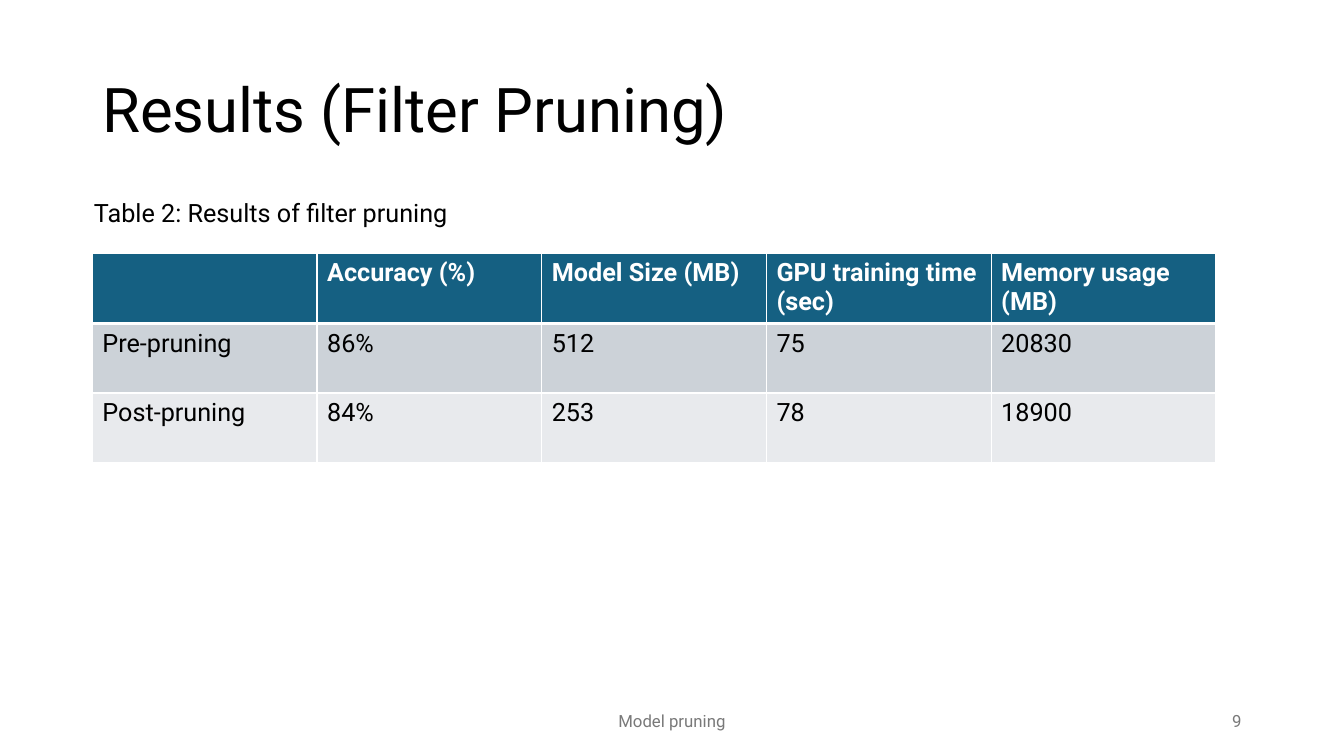
from lxml.etree import SubElement
from pptx import Presentation
from pptx.dml.color import RGBColor
from pptx.enum.text import MSO_ANCHOR as Anchor, PP_ALIGN as Align
from pptx.oxml.ns import qn
from pptx.util import Pt

BLACK = RGBColor(0x00, 0x00, 0x00)
WHITE = RGBColor(0xFF, 0xFF, 0xFF)
GREY = RGBColor(0x79, 0x79, 0x79)
TEAL = RGBColor(0x15, 0x60, 0x82)
BAND_DARK = RGBColor(0xCC, 0xD2, 0xD8)
BAND_LIGHT = RGBColor(0xE8, 0xEA, 0xED)

FONT = "Roboto"
PX = 9525
SLIDE_SIZE = (1280, 720)

LABELS = [
    ("Results (Filter Pruning)", (88, 38, 1104, 139), 44, BLACK, Align.LEFT, Anchor.MIDDLE, 0.9),
    ("Table 2: Results of filter pruning", (80, 183, 373, 38), 18, BLACK, Align.LEFT, Anchor.TOP, 1.0),
    ("Model pruning", (424, 667, 432, 38), 12, GREY, Align.CENTER, Anchor.MIDDLE, 1.0),
    ("9", (904, 667, 288, 38), 12, GREY, Align.RIGHT, Anchor.MIDDLE, 1.0),
]

RESULTS = [
    ("", "Accuracy (%)", "Model Size (MB)", "GPU training time (sec)", "Memory usage (MB)"),
    ("Pre-pruning", "86%", "512", "75", "20830"),
    ("Post-pruning", "84%", "253", "78", "18900"),
]
ROW_FILLS = [TEAL, BAND_DARK, BAND_LIGHT]
TABLE_LEFT, TABLE_TOP = 88, 241
COL_WIDTH, ROW_HEIGHT = 214, 66
TABLE_SIZE = 18
THIN, THICK = 1, 3


def add_run(paragraph, text, size, color, bold=False):
    run = paragraph.add_run()
    run.text = text
    run.font.name = FONT
    run.font.size = Pt(size)
    run.font.bold = bold
    run.font.color.rgb = color


def add_label(slide, text, box, size, color, align, anchor, spacing):
    frame = slide.shapes.add_textbox(*(n * PX for n in box)).text_frame
    frame.word_wrap = True
    frame.vertical_anchor = anchor
    paragraph = frame.paragraphs[0]
    paragraph.alignment = align
    paragraph.line_spacing = spacing
    add_run(paragraph, text, size, color)


def add_borders(cell, top, bottom):
    properties = cell._tc.get_or_add_tcPr()
    for side, width in (("L", THIN), ("R", THIN), ("T", top), ("B", bottom)):
        border = SubElement(properties, qn(f"a:ln{side}"), w=str(Pt(width)))
        fill = SubElement(border, qn("a:solidFill"))
        SubElement(fill, qn("a:srgbClr"), val=str(WHITE))


def add_results(slide):
    rows, cols = len(RESULTS), len(RESULTS[0])
    table = slide.shapes.add_table(
        rows, cols, TABLE_LEFT * PX, TABLE_TOP * PX,
        cols * COL_WIDTH * PX, rows * ROW_HEIGHT * PX).table
    for column in table.columns:
        column.width = COL_WIDTH * PX
    for r, (values, row_fill) in enumerate(zip(RESULTS, ROW_FILLS)):
        table.rows[r].height = ROW_HEIGHT * PX
        is_header = r == 0
        for c, value in enumerate(values):
            cell = table.cell(r, c)
            add_borders(cell, THICK if r == 1 else THIN, THICK if is_header else THIN)
            cell.fill.solid()
            cell.fill.fore_color.rgb = row_fill
            if value:
                add_run(cell.text_frame.paragraphs[0], value, TABLE_SIZE,
                        WHITE if is_header else BLACK, is_header)


def main():
    deck = Presentation()
    deck.slide_width, deck.slide_height = (n * PX for n in SLIDE_SIZE)
    slide = deck.slides.add_slide(deck.slide_layouts[6])
    for label in LABELS:
        add_label(slide, *label)
    add_results(slide)
    deck.save("out.pptx")


if __name__ == "__main__":
    main()
